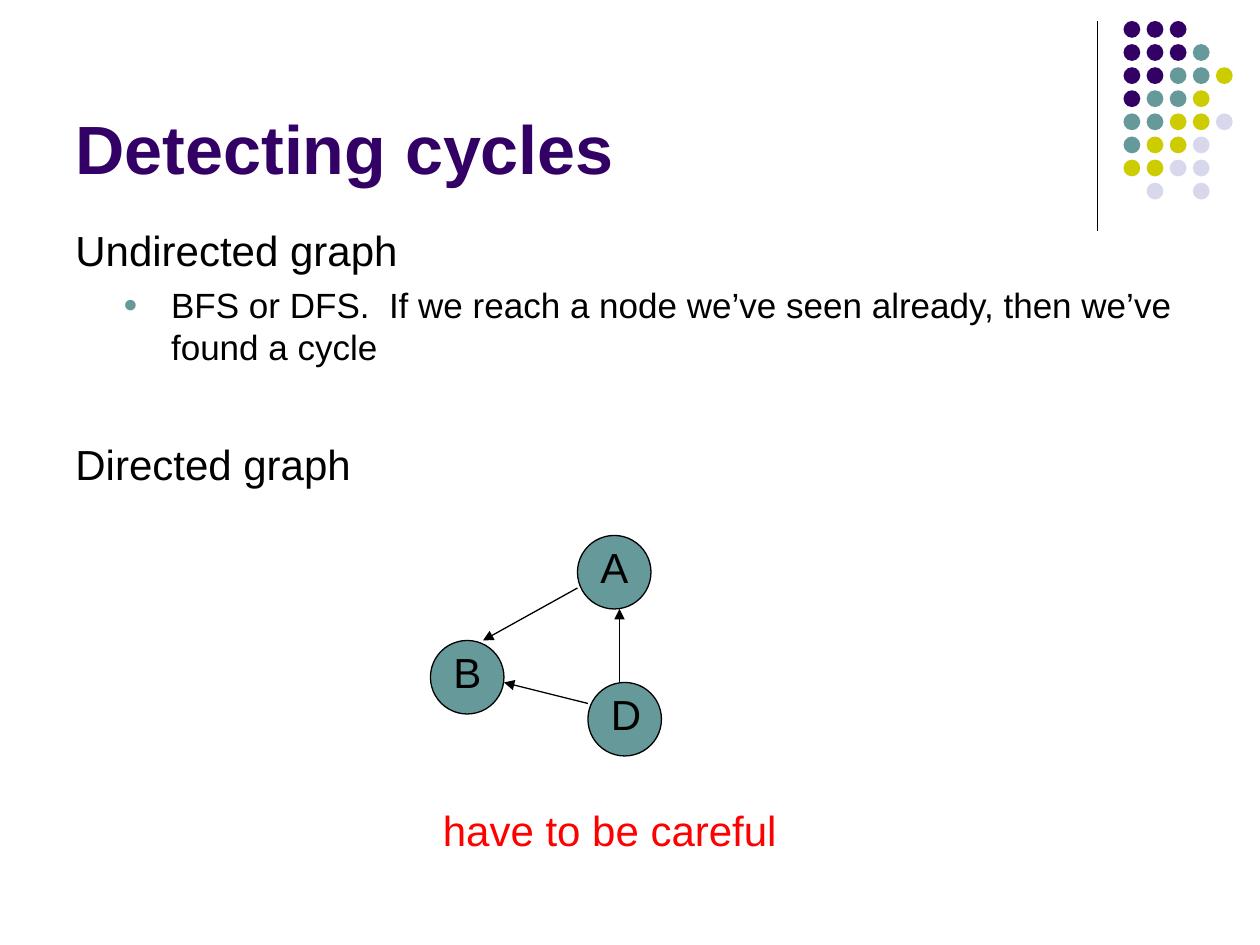
from lxml import etree
from pptx import Presentation, util as u
from pptx.dml.color import RGBColor
from pptx.enum import shapes, text
from pptx.oxml.ns import qn

COLUMNS, ROWS = 120, 90  # twelve grid steps to the inch
INK, PURPLE, TEAL, OLIVE, LILAC, RED = (
    "000000", "330066", "669999", "CCCC00", "D8D8EC", "FF0000")
DOT_COLOURS = {"P": PURPLE, "T": TEAL, "O": OLIVE, "L": LILAC}
DOT_ROWS = ["PPP", "PPPT", "PPTTO", "PTTO", "TTOOL", "TOOL", "OOLL", " L L"]
NODES = {"A": (55, 51), "B": (41, 61), "D": (56, 65)}
EDGES = [((55, 56), (46, 61)), ((59, 65), (59, 58)), ((56, 67), (48, 65))]


def grid(*steps):
    return [u.Inches(step / 12) for step in steps]


def colour(value):
    return RGBColor.from_string(value)


def add_circle(parent, left, top, size, fill, outline=None):
    circle = parent.shapes.add_shape(
        shapes.MSO_SHAPE.OVAL, *grid(left, top, size, size))
    circle.shadow.inherit = False
    circle.fill.solid()
    circle.fill.fore_color.rgb = colour(fill)
    if outline:
        circle.line.color.rgb = colour(outline)
        circle.line.width = u.Pt(0.75)
    else:
        circle.line.fill.background()


def add_line(page, start, end, arrow=False):
    line = page.shapes.add_connector(
        shapes.MSO_CONNECTOR.STRAIGHT, *grid(*start, *end))
    line.line.color.rgb = colour(INK)
    line.line.width = u.Pt(0.75)
    if arrow:
        etree.SubElement(line.line._get_or_add_ln(), qn("a:tailEnd"), type="triangle")
    etree.SubElement(line._element.spPr, qn("a:effectLst"))


def add_box(parent, left, top, width, height, anchor=text.MSO_ANCHOR.TOP):
    box = parent.shapes.add_textbox(*grid(left, top, width, height))
    box.text_frame.word_wrap = True
    box.text_frame.vertical_anchor = anchor
    return box.text_frame


def add_bullet(para, fill):
    props = para._p.get_or_add_pPr()
    props.set("marL", str(u.Inches(0.76)))
    props.set("indent", str(u.Inches(-0.38)))
    bullet_colour = etree.SubElement(props, qn("a:buClr"))
    etree.SubElement(bullet_colour, qn("a:srgbClr"), val=fill)
    etree.SubElement(props, qn("a:buSzPct"), val="70000")
    etree.SubElement(props, qn("a:buFont"), typeface="Arial")
    etree.SubElement(props, qn("a:buChar"), char="●")


def write(frame, words, size=24, fill=INK, bold=False, before=0, bullet=None):
    """Fill the first paragraph of the frame, or add one after it."""
    para = frame.add_paragraph() if frame.text else frame.paragraphs[0]
    if bullet:
        add_bullet(para, bullet)
    para.space_before = u.Pt(before)
    span = para.add_run()
    span.text = words
    span.font.name = "Arial"
    span.font.size = u.Pt(size)
    span.font.bold = bold
    span.font.color.rgb = colour(fill)


def add_dots(page, left, top, pitch, size):
    dots = page.shapes.add_group_shape()
    for row, keys in enumerate(DOT_ROWS):
        for column, key in enumerate(keys):
            if key in DOT_COLOURS:
                add_circle(dots, left + column * pitch, top + row * pitch,
                           size, DOT_COLOURS[key])


def add_node(page, name, left, top):
    node = page.shapes.add_group_shape()
    add_circle(node, left, top, 7, TEAL, INK)
    write(add_box(node, left + 1, top, 6, 6), name)


def main():
    deck = Presentation()
    deck.slide_width, deck.slide_height = grid(COLUMNS, ROWS)
    page = deck.slides.add_slide(deck.slide_layouts[6])

    add_line(page, (104.5, 2), (104.5, 22))
    add_dots(page, left=107, top=2, pitch=2.2, size=1.6)

    title = add_box(page, 6, 1.5, 99, 17, text.MSO_ANCHOR.BOTTOM)
    write(title, "Detecting cycles", size=39, fill=PURPLE, bold=True)

    body = add_box(page, 6, 20.75, 108, 26.5)
    write(body, "Undirected graph")
    write(body, "BFS or DFS.  If we reach a node we’ve seen already, "
          "then we’ve found a cycle", size=20, before=5, bullet=TEAL)
    write(body, "Directed graph", before=41)

    for name, (left, top) in NODES.items():
        add_node(page, name, left, top)
    for start, end in EDGES:
        add_line(page, start, end, arrow=True)

    write(add_box(page, 41, 76, 35, 6), "have to be careful", fill=RED)
    deck.save("out.pptx")


if __name__ == "__main__":
    main()
